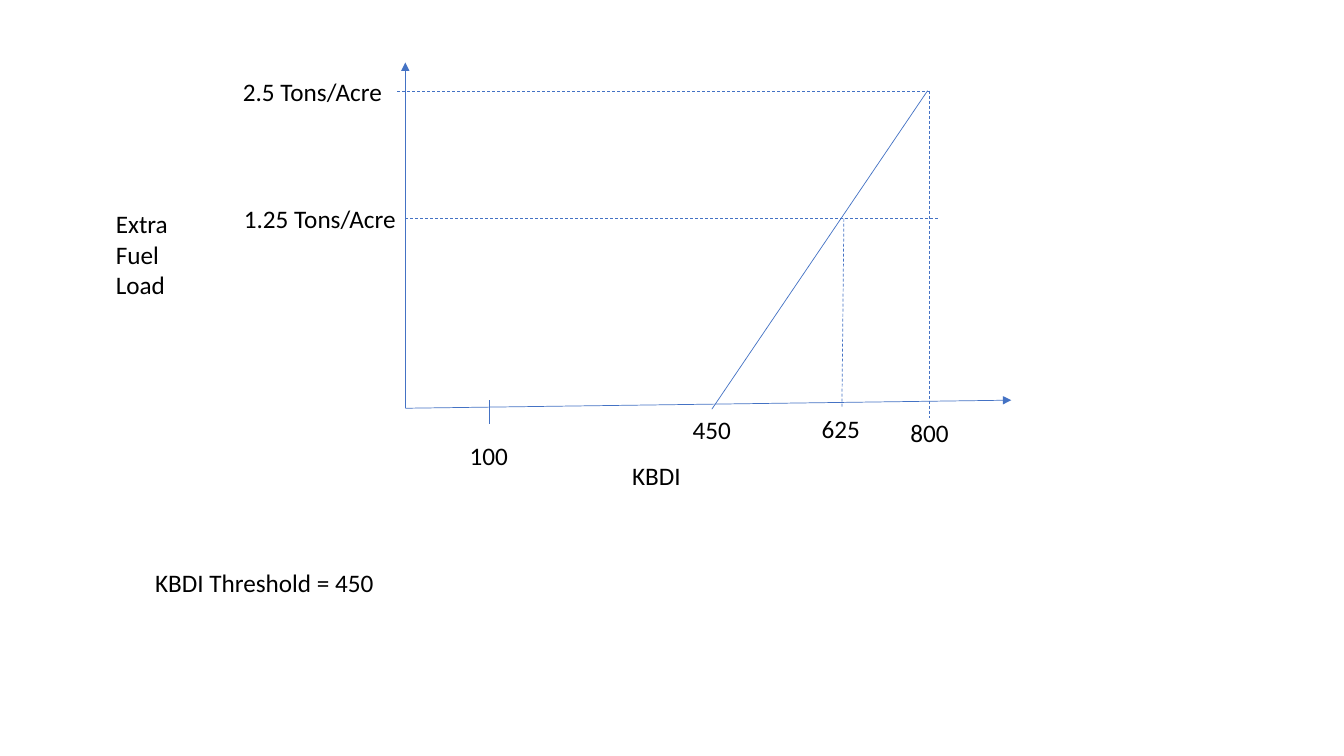
from pptx import Presentation
from pptx import util as u
from pptx.dml.color import RGBColor
from pptx.enum import dml, shapes, text
from pptx.oxml.ns import qn
from lxml import etree

PX = 9144
BLUE = "4472C4"
BLACK = "000000"
FONT = "Calibri"


def px(length):
    return u.Emu(length * PX)


def color(hex_string):
    return RGBColor.from_string(hex_string)


def add_line(slide, start, end, dashed=False, arrow=False):
    points = [px(value) for value in (*start, *end)]
    connector = slide.shapes.add_connector(shapes.MSO_CONNECTOR.STRAIGHT, *points)
    connector.line.color.rgb = color(BLUE)
    connector.line.width = u.Pt(0.5)
    if dashed:
        connector.line.dash_style = dml.MSO_LINE.DASH
    properties = connector._element.spPr
    if arrow:
        outline = properties.find(qn("a:ln"))
        etree.SubElement(outline, qn("a:tailEnd"), type="triangle")
    etree.SubElement(properties, qn("a:effectLst"))


def add_label(slide, left, top, width, height, *lines):
    box = slide.shapes.add_textbox(px(left), px(top), px(width), px(height))
    frame = box.text_frame
    frame.word_wrap = False
    frame.auto_size = text.MSO_AUTO_SIZE.SHAPE_TO_FIT_TEXT
    for index, line in enumerate(lines):
        paragraph = frame.add_paragraph() if index else frame.paragraphs[0]
        run = paragraph.add_run()
        run.text = line
        run.font.name = FONT
        run.font.size = u.Pt(18)
        run.font.color.rgb = color(BLACK)


def add_plot(slide, left, top, width, height):
    def at(x, y):
        return left + x, top + y

    add_line(slide, at(0, height), at(width, height - 8), arrow=True)
    add_line(slide, at(0, height), at(0, 0), arrow=True)
    add_line(slide, at(83, height - 8), at(83, height + 16))
    add_line(slide, at(304, height + 1), at(518, 28))

    guides = [
        ((-8, 29), (520, 29)),
        ((520, 28), (520, height + 10)),
        ((0, 155), (528, 155)),
        ((435, 155), (433, height)),
    ]
    for start, end in guides:
        add_line(slide, at(*start), at(*end), dashed=True)

    ticks = [("100", 54, 27), ("450", 275, 1), ("625", 403, 0), ("800", 491, 4)]
    for name, x, drop in ticks:
        add_label(slide, *at(x, height + drop), 59, 40, name)

    add_label(slide, *at(-171, 9), 160, 40, "2.5 Tons/Acre")
    add_label(slide, *at(-170, 135), 172, 40, "1.25 Tons/Acre")
    add_label(slide, *at(-297, 140), 78, 101, "Extra", "Fuel", "Load")
    add_label(slide, *at(215, height + 47), 69, 40, "KBDI")


def main():
    presentation = Presentation()
    presentation.slide_width = u.Inches(13.33)
    presentation.slide_height = u.Inches(7.5)
    slide = presentation.slides.add_slide(presentation.slide_layouts[6])
    add_plot(slide, 402, 62, 601, 343)
    add_label(slide, 144, 558, 240, 40, "KBDI Threshold = 450")
    presentation.save("out.pptx")


if __name__ == "__main__":
    main()
